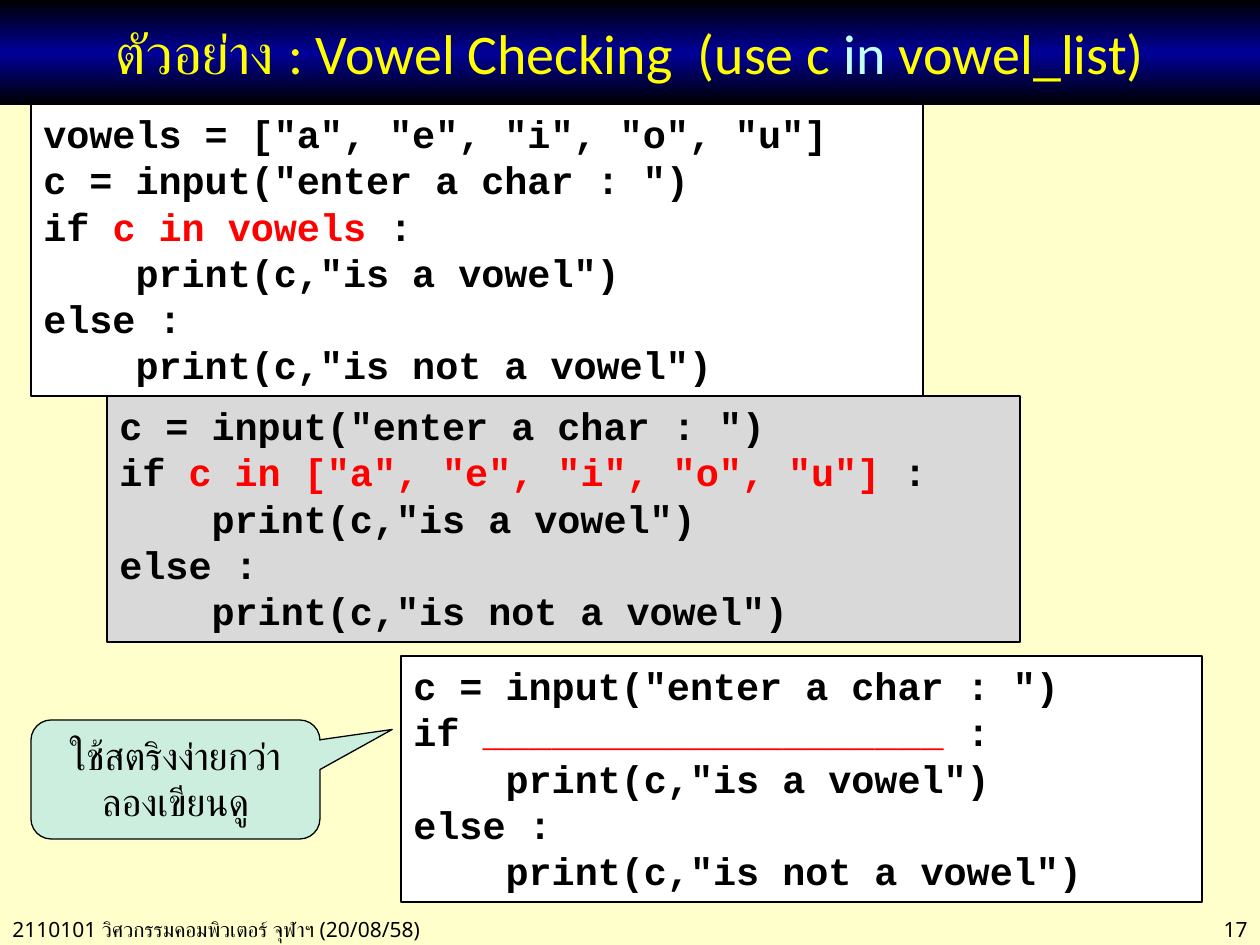
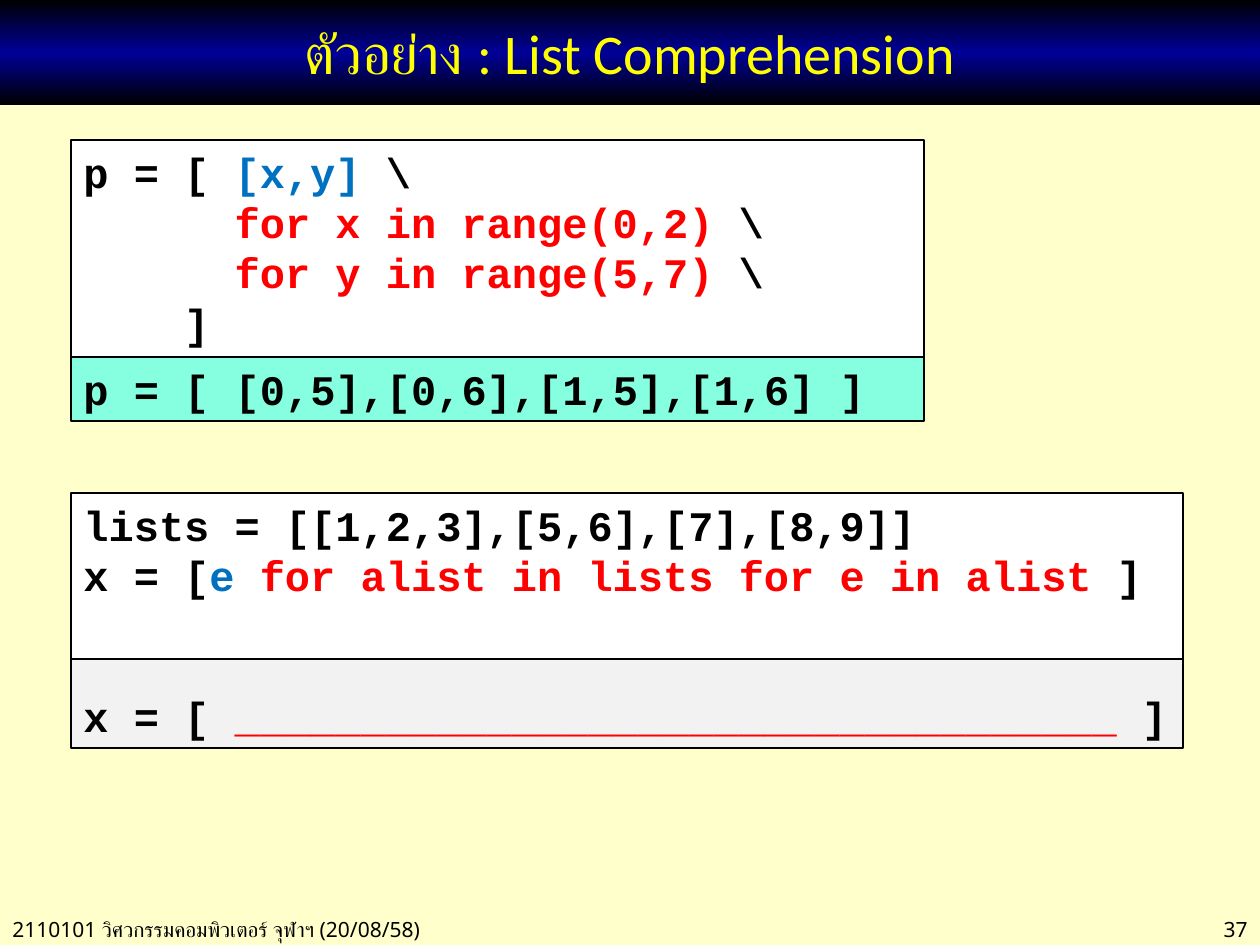
"""Build two lecture pages with Python code examples."""
from copy import deepcopy
from dataclasses import dataclass
from typing import Any, NamedTuple, Optional

from pptx import Presentation
from pptx import util as u
from pptx.dml.color import RGBColor
from pptx.enum import shapes, text

PIXEL = u.Inches(1) / 126
PAGE_WIDTH, PAGE_HEIGHT = 1260, 945
BAND_HEIGHT = 105
FOOTER_TOP, FOOTER_HEIGHT = 910, 38

BLACK = RGBColor(0x00, 0x00, 0x00)
WHITE = RGBColor(0xFF, 0xFF, 0xFF)
CREAM = RGBColor(0xFF, 0xFF, 0xCC)
NAVY = RGBColor(0x00, 0x00, 0x99)
YELLOW = RGBColor(0xFF, 0xFF, 0x00)
PALE_CYAN = RGBColor(0xC2, 0xFF, 0xF0)
RED = RGBColor(0xFF, 0x00, 0x00)
BLUE = RGBColor(0x00, 0x70, 0xC0)
GREY = RGBColor(0xD9, 0xD9, 0xD9)
PALE_GREY = RGBColor(0xF2, 0xF2, 0xF2)
MINT = RGBColor(0xCC, 0xEE, 0xDF)
AQUA = RGBColor(0x85, 0xFF, 0xE0)

TITLE_FONT = {"name": "Calibri", "size": u.Pt(32)}
FOOTER_FONT = {"name": "Noto Sans", "size": u.Pt(12)}
CODE_FONT = {"name": "Courier New", "bold": True}
CALLOUT_FONT = {"name": "Courier New", "size": u.Pt(22)}

LEFT = {"alignment": text.PP_ALIGN.LEFT}
CENTER = {"alignment": text.PP_ALIGN.CENTER}
RIGHT = {"alignment": text.PP_ALIGN.RIGHT}
FRAME = {
    "word_wrap": True,
    "auto_size": text.MSO_AUTO_SIZE.NONE,
    "vertical_anchor": text.MSO_ANCHOR.TOP,
}
MIDDLE_FRAME = FRAME | {"vertical_anchor": text.MSO_ANCHOR.MIDDLE}

FOOTER = "2110101 วิศวกรรมคอมพิวเตอร์ จุฬาฯ (20/08/58)"


class Span(NamedTuple):
    """A stretch of text in one colour."""
    words: str
    color: RGBColor = BLACK


class Area(NamedTuple):
    """A place on the page, in pixels."""
    left: int
    top: int
    width: int
    height: int


Line = list[Span]


@dataclass
class CodeBox:
    """A framed block of code."""
    area: Area
    fill: RGBColor
    lines: list[Line]
    size: int
    spacing: float = 1.0


@dataclass
class Callout:
    """A speech bubble with its pointer offsets and corner radius."""
    area: Area
    words: str
    adjustments: tuple[float, float, float]


@dataclass
class Lesson:
    """The contents of one page."""
    title: Line
    number: int
    code: list[CodeBox]
    callout: Optional[Callout] = None


def apply(target: Any, values: dict[str, Any]) -> None:
    """Set every attribute in a dict of format values."""
    for name, value in values.items():
        setattr(target, name, value)


def scaled(area: Area) -> list[u.Emu]:
    """Turn an area in pixels into EMU."""
    return [u.Emu(round(length * PIXEL)) for length in area]


def write(box: Any, lines: list[Line], font: dict[str, Any],
          layout: dict[str, Any], frame: dict[str, Any] = FRAME) -> None:
    """Fill a box with lines of coloured spans."""
    apply(box.text_frame, frame)
    for index, line in enumerate(lines):
        para = (box.text_frame.add_paragraph() if index
                else box.text_frame.paragraphs[0])
        apply(para, layout)
        for span in line:
            run = para.add_run()
            run.text = span.words
            apply(run.font, font)
            run.font.color.rgb = span.color


def add_box(page: Any, area: Area, fill: RGBColor,
            kind: Any = shapes.MSO_SHAPE.RECTANGLE) -> Any:
    """Add a filled shape with a thin black outline."""
    box = page.shapes.add_shape(kind, *scaled(area))
    box.shadow.inherit = False
    box.fill.solid()
    box.fill.fore_color.rgb = fill
    box.line.color.rgb = BLACK
    box.line.width = u.Pt(0.75)
    return box


def add_title(page: Any, title: Line) -> None:
    """Add the black-navy-black band with the page title."""
    band = add_box(page, Area(0, 0, PAGE_WIDTH, BAND_HEIGHT), NAVY)
    band.line.fill.background()
    band.fill.gradient()
    band.fill.gradient_angle = 90
    first, second = band.fill.gradient_stops
    for stop, color, position in ((first, BLACK, 0), (second, NAVY, 0.5)):
        stop.color.rgb = color
        stop.position = position
    stop_list = band.fill._fill._gradFill.gsLst
    last = deepcopy(stop_list[0])
    last.set("pos", "100000")
    stop_list.append(last)
    write(band, [title], TITLE_FONT, CENTER, MIDDLE_FRAME)


def add_footer(page: Any, number: int) -> None:
    """Add the course line and the page number."""
    for left, width, words, layout in (
        (0, 491, FOOTER, LEFT),
        (1086, PAGE_WIDTH - 1086, str(number), RIGHT),
    ):
        area = Area(left, FOOTER_TOP, width, FOOTER_HEIGHT)
        box = page.shapes.add_textbox(*scaled(area))
        write(box, [[Span(words)]], FOOTER_FONT, layout)


def add_code(page: Any, code: CodeBox) -> None:
    """Add one block of code."""
    box = add_box(page, code.area, code.fill)
    write(box, code.lines, CODE_FONT | {"size": u.Pt(code.size)},
          LEFT | {"line_spacing": code.spacing})


def add_callout(page: Any, callout: Callout) -> None:
    """Add a rounded speech bubble."""
    bubble = add_box(page, callout.area, MINT,
                     shapes.MSO_SHAPE.ROUNDED_RECTANGULAR_CALLOUT)
    for index, value in enumerate(callout.adjustments):
        bubble.adjustments[index] = value
    write(bubble, [[Span(callout.words)]], CALLOUT_FONT, CENTER)


def add_lesson(deck: Any, lesson: Lesson) -> None:
    """Add one whole page."""
    page = deck.slides.add_slide(deck.slide_layouts[6])
    page.background.fill.solid()
    page.background.fill.fore_color.rgb = CREAM
    add_footer(page, lesson.number)
    add_title(page, lesson.title)
    for code in lesson.code:
        add_code(page, code)
    if lesson.callout:
        add_callout(page, lesson.callout)


def vowel_check(condition: str, end: str = " :") -> list[Line]:
    """Give the lines of the vowel test with its condition in red."""
    return [
        [Span('c = input("enter a char : ")')],
        [Span("if "), Span(condition, RED), Span(end)],
        [Span('    print(c,"is a vowel")')],
        [Span("else :")],
        [Span('    print(c,"is not a vowel")')],
    ]


def loop_line(variable: str, limits: str) -> Line:
    """Give one loop clause of the comprehension."""
    return [Span("      "), Span(f"for {variable} in range({limits})", RED),
            Span(" \\")]


VOWELS = '["a", "e", "i", "o", "u"]'

LESSONS = [
    Lesson(
        title=[Span("ตัวอย่าง : Vowel Checking  (use c ", YELLOW),
               Span("in ", PALE_CYAN), Span("vowel_list)", YELLOW)],
        number=17,
        code=[
            CodeBox(Area(31, 104, 892, 292), WHITE,
                    [[Span(f"vowels = {VOWELS}")],
                     *vowel_check("c in vowels")], 22),
            CodeBox(Area(107, 396, 913, 246), GREY,
                    vowel_check(f"c in {VOWELS} ", ":"), 22),
            CodeBox(Area(401, 656, 801, 246), WHITE,
                    vowel_check("_" * 20), 22),
        ],
        callout=Callout(Area(31, 720, 289, 119),
                        "ใช้สตริงง่ายกว่า ลองเขียนดู", (0.75, -0.42, 0.17)),
    ),
    Lesson(
        title=[Span("ตัวอย่าง : List Comprehension", YELLOW)],
        number=37,
        code=[
            CodeBox(Area(71, 140, 853, 217), WHITE,
                    [[Span("p = [ "), Span("[x,y]", BLUE), Span(" \\")],
                     loop_line("x", "0,2"),
                     loop_line("y", "5,7"),
                     [Span("    ]")]], 24),
            CodeBox(Area(71, 357, 853, 64), AQUA,
                    [[Span("p = [ [0,5],[0,6],[1,5],[1,6] ]")]], 24),
            CodeBox(Area(71, 493, 1112, 166), WHITE,
                    [[Span("lists = [[1,2,3],[5,6],[7],[8,9]]")],
                     [Span("x = ["), Span("e ", BLUE),
                      Span("for alist in lists for e in alist ", RED),
                      Span("]")]], 24),
            CodeBox(Area(71, 659, 1112, 89), PALE_GREY,
                    [[Span("x = [ "), Span("_" * 35 + " ", RED),
                      Span("]")]], 24, 1.5),
        ],
    ),
]


def main() -> None:
    """Build and save the deck."""
    deck = Presentation()
    deck.slide_width = u.Emu(round(PAGE_WIDTH * PIXEL))
    deck.slide_height = u.Emu(round(PAGE_HEIGHT * PIXEL))
    for lesson in LESSONS:
        add_lesson(deck, lesson)
    deck.save("out.pptx")


main()
